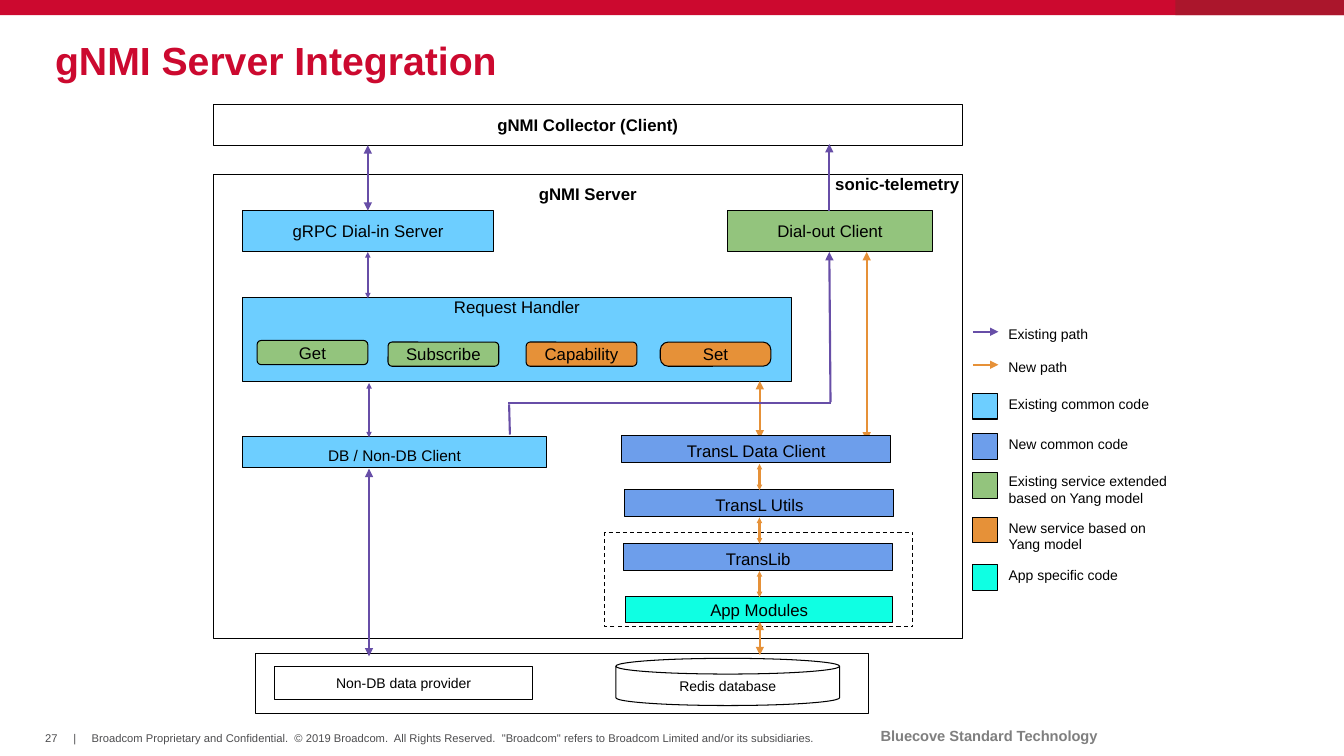
import dataclasses
import lxml.etree
import pptx
import pptx.dml.color
import pptx.enum.dml
import pptx.enum.shapes
import pptx.enum.text
import pptx.oxml.ns
import pptx.util

Cm = pptx.util.Cm
Pt = pptx.util.Pt
Kind = pptx.enum.shapes.MSO_SHAPE
Align = pptx.enum.text.PP_ALIGN
Anchor = pptx.enum.text.MSO_ANCHOR
qn = pptx.oxml.ns.qn


@dataclasses.dataclass(frozen=True)
class Theme:
    """Colours, font and type sizes of the slide."""
    font: str = "Arial"
    black: str = "000000"
    red: str = "CC092F"
    wine: str = "AB162C"
    grey: str = "4D4D4F"
    pale: str = "7F7F7F"
    sky: str = "6DCEFF"
    blue: str = "6D9EEB"
    green: str = "93C47D"
    orange: str = "E69138"
    aqua: str = "0FFFE3"
    purple: str = "674EA7"
    title: float = 28
    body: float = 12
    mid: float = 11
    brand: float = 10.5
    small: float = 10
    foot: float = 8
    thin: float = 0.75
    thick: float = 1.5
    pad: float = 0.25


def rgb(code):
    """Turn a hex code into a colour."""
    return pptx.dml.color.RGBColor.from_string(code)


def write(frame, text, font, size, color, bold=False, align=Align.LEFT,
          anchor=Anchor.TOP, pad=0.25, top=None, space=None):
    """Put formatted text in a frame."""
    frame.word_wrap = True
    frame.vertical_anchor = anchor
    frame.margin_left = frame.margin_right = frame.margin_bottom = Cm(pad)
    frame.margin_top = Cm(pad if top is None else top)
    para = frame.paragraphs[0]
    para.alignment = align
    if space:
        para.line_spacing = space
    run = para.add_run()
    run.text = text
    run.font.name = font
    run.font.size = Pt(size)
    run.font.bold = bold
    run.font.color.rgb = rgb(color)


class Board:
    """Draw elements on one slide in one style."""

    def __init__(self, slide, theme):
        """Keep the slide and the theme."""
        self.shapes = slide.shapes
        self.theme = theme

    def box(self, place, text="", fill=None, kind=Kind.RECTANGLE, edge=True,
            dash=False, round=None, size=None, **form):
        """Add a preset shape with centred text."""
        shape = self.shapes.add_shape(kind, *map(Cm, place))
        shape.shadow.inherit = False
        if round:
            shape.adjustments[0] = round
        if fill:
            shape.fill.solid()
            shape.fill.fore_color.rgb = rgb(fill)
        else:
            shape.fill.background()
        if edge:
            shape.line.color.rgb = rgb(self.theme.black)
            shape.line.width = Pt(self.theme.thin)
        else:
            shape.line.fill.background()
        if dash:
            shape.line.dash_style = pptx.enum.dml.MSO_LINE.DASH
        if text:
            write(shape.text_frame, text, self.theme.font,
                  size or self.theme.body, self.theme.black,
                  align=Align.CENTER, **form)

    def label(self, place, text, size, color, **form):
        """Add a plain text box."""
        frame = self.shapes.add_textbox(*map(Cm, place)).text_frame
        write(frame, text, self.theme.font, size, color, **form)

    def line(self, ends, color, heads="", scale="med"):
        """Add a line with optional arrowheads."""
        link = self.shapes.add_connector(
            pptx.enum.shapes.MSO_CONNECTOR.STRAIGHT, *map(Cm, ends))
        link.line.color.rgb = rgb(color)
        link.line.width = Pt(self.theme.thick)
        stroke = link.line._get_or_add_ln()
        for name in heads.split():
            lxml.etree.SubElement(stroke, qn("a:" + name),
                                  type="triangle", w=scale, len=scale)
        lxml.etree.SubElement(link._element.spPr, qn("a:effectLst"))


def frame(board, t):
    """Draw the bars, title and footer."""
    board.box((0, 0, 33.87, 0.38), fill=t.red, edge=False)
    board.box((29.62, 0, 4.25, 0.38), fill=t.wine, edge=False)
    board.label((1.14, 1.09, 31.57, 1.02), "gNMI Server Integration", t.title,
                t.red, bold=True, anchor=Anchor.MIDDLE, space=0.85)
    for left, width, text in (
            (1.14, 0.36, "27"), (1.85, 0.08, "|"),
            (2.31, 18.36, "Broadcom Proprietary and Confidential.  © 2019 "
             "Broadcom.  All Rights Reserved.  \"Broadcom\" refers to "
             "Broadcom Limited and/or its subsidiaries.")):
        board.label((left, 18.42, width, 0.33), text, t.foot, t.grey, pad=0)
    board.label((20.27, 18.31, 9.32, 0.46), "Bluecove Standard Technology",
                t.brand, t.pale, bold=True, align=Align.CENTER, pad=0)


def blocks(board, t):
    """Draw the server, its parts and the data stores."""
    mid = Anchor.MIDDLE
    board.box((5.38, 4.39, 18.87, 11.71), "gNMI Server", bold=True)
    board.box((5.38, 2.64, 18.87, 1.04), "gNMI Collector (Client)", bold=True)
    board.box((6.12, 5.31, 6.32, 1.04), "gRPC Dial-in Server", t.sky)
    board.box((18.34, 5.31, 5.16, 1.04), "Dial-out Client", t.green)
    board.box((6.12, 7.49, 13.82, 2.13), "Request Handler", t.sky, top=0)
    board.box((6.12, 11, 7.65, 0.79), "DB / Non-DB Client", t.sky, size=t.mid)
    for left, top, text, fill, curve in (
            (6.48, 8.58, "Get", t.green, 0.17),
            (9.78, 8.62, "Subscribe", t.green, 0.17),
            (13.26, 8.62, "Capability", t.orange, 0.17),
            (16.64, 8.62, "Set", t.orange, 0.33)):
        board.box((left, top, 2.79, 0.61), text, fill,
                  Kind.ROUNDED_RECTANGLE, round=curve, anchor=mid)
    board.box((6.45, 16.46, 15.44, 1.52))
    board.box((6.93, 16.79, 6.48, 0.84), "Non-DB data provider",
              size=t.small, anchor=mid)
    board.box((15.52, 16.59, 5.64, 1.19), "Redis database",
              kind=Kind.FLOWCHART_MAGNETIC_DISK, size=t.small, anchor=mid)
    board.box((15.24, 13.41, 7.77, 2.39), dash=True)
    board.box((15.77, 15.04, 6.73, 0.66), "App Modules", t.aqua, anchor=mid)


def paths(board, t):
    """Draw the paths and the stack they feed."""
    both, end = "headEnd tailEnd", "tailEnd"
    board.line((21.84, 11.1, 21.84, 6.35), t.orange, both)
    board.line((19.15, 11.05, 19.15, 9.6), t.orange, both)
    for row, (left, text) in enumerate((
            (15.67, "TransL Data Client"), (15.75, "TransL Utils"),
            (15.72, "TransLib"))):
        board.box((left, 10.97 + 1.36 * row, 6.78, 0.69), text, t.blue,
                  top=0.13)
    for row in range(3):
        low = 12.35 + 1.35 * row
        board.line((19.14, low, 19.14, low - 0.66), t.orange, both, "sm")
    board.line((19.15, 16.51, 19.15, 15.67), t.orange, both)
    for x, top, low, scale in ((9.27, 3.66, 5.31, "med"),
                               (9.27, 6.35, 7.52, "sm"),
                               (9.3, 9.65, 11.02, "sm"),
                               (9.3, 11.81, 16.54, "med")):
        board.line((x, top, x, low), t.purple, both, scale)
    board.line((20.9, 5.31, 20.9, 3.63), t.purple, end)
    board.line((12.83, 10.19, 12.85, 10.95), t.purple)
    board.line((20.93, 10.16, 12.8, 10.16), t.purple)
    board.line((20.93, 10.13, 20.9, 6.35), t.purple, end)
    board.label((20.8, 4.14, 3.76, 0.79), "sonic-telemetry", t.body, t.black,
                bold=True)


def legend(board, t):
    """Draw the key to the paths and colours."""
    for y, text, color in ((8.36, "Existing path", t.purple),
                           (9.19, "New path", t.orange)):
        board.line((24.52, y, 25.16, y), color, "tailEnd")
        board.label((25.16, y - 0.38, 4.24, 0.79), text, t.small, t.black)
    for y, top, width, text, fill in (
            (9.91, 9.75, 4.24, "Existing common code", t.sky),
            (10.92, 10.77, 4.24, "New common code", t.blue),
            (11.91, 11.66, 5.36,
             "Existing service extended based on Yang model", t.green),
            (13.03, 12.83, 4.24, "New service based on Yang model", t.orange),
            (14.22, 14.07, 4.47, "App specific code", t.aqua)):
        board.box((24.51, y, 0.64, 0.65), fill=fill)
        board.label((25.17, top, width, 0.79), text, t.small, t.black)


def main():
    """Build and save the slide."""
    deck = pptx.Presentation()
    deck.slide_width, deck.slide_height = Cm(33.87), Cm(19.05)
    theme = Theme()
    board = Board(deck.slides.add_slide(deck.slide_layouts[6]), theme)
    for draw in (frame, blocks, paths, legend):
        draw(board, theme)
    deck.save("out.pptx")


if __name__ == "__main__":
    main()
